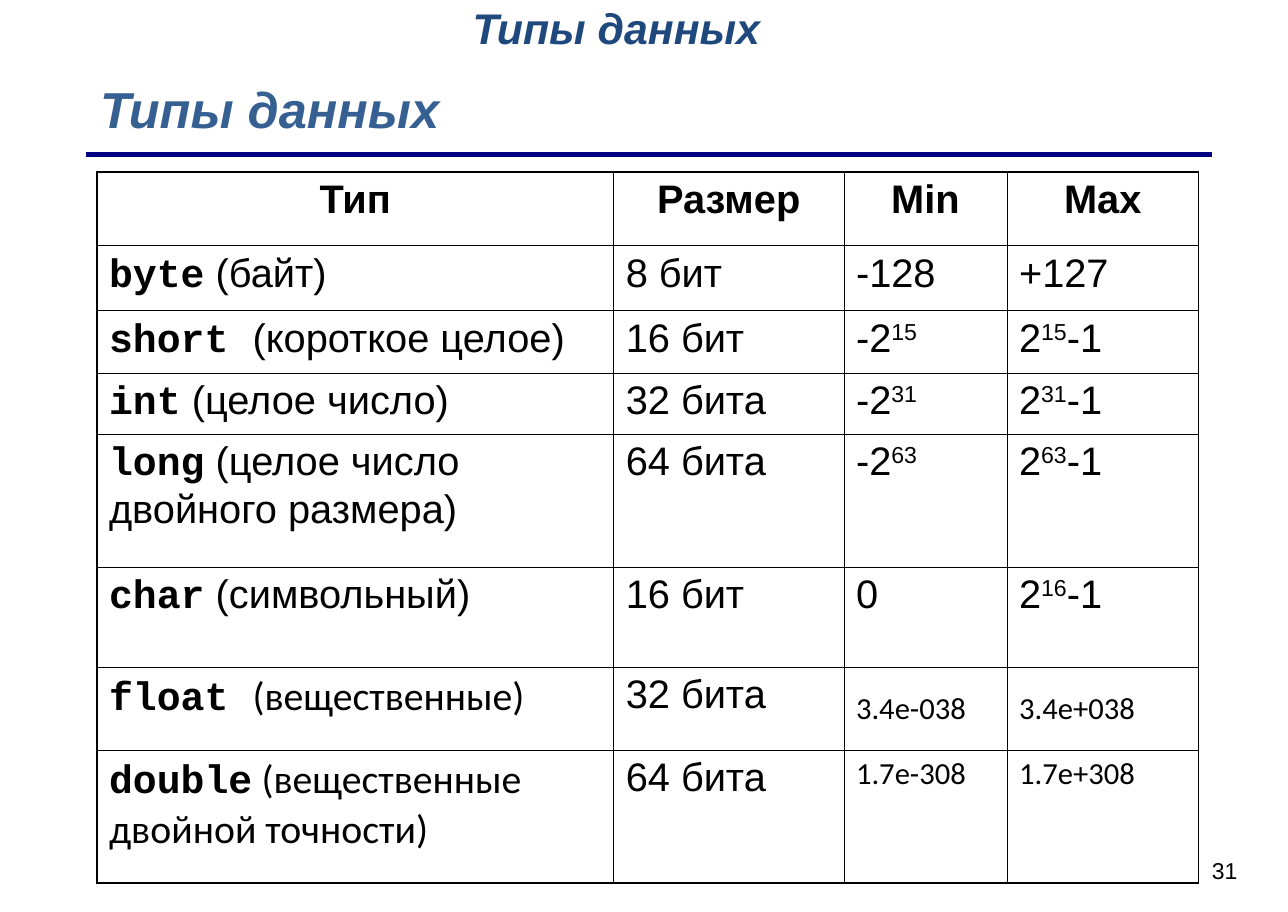
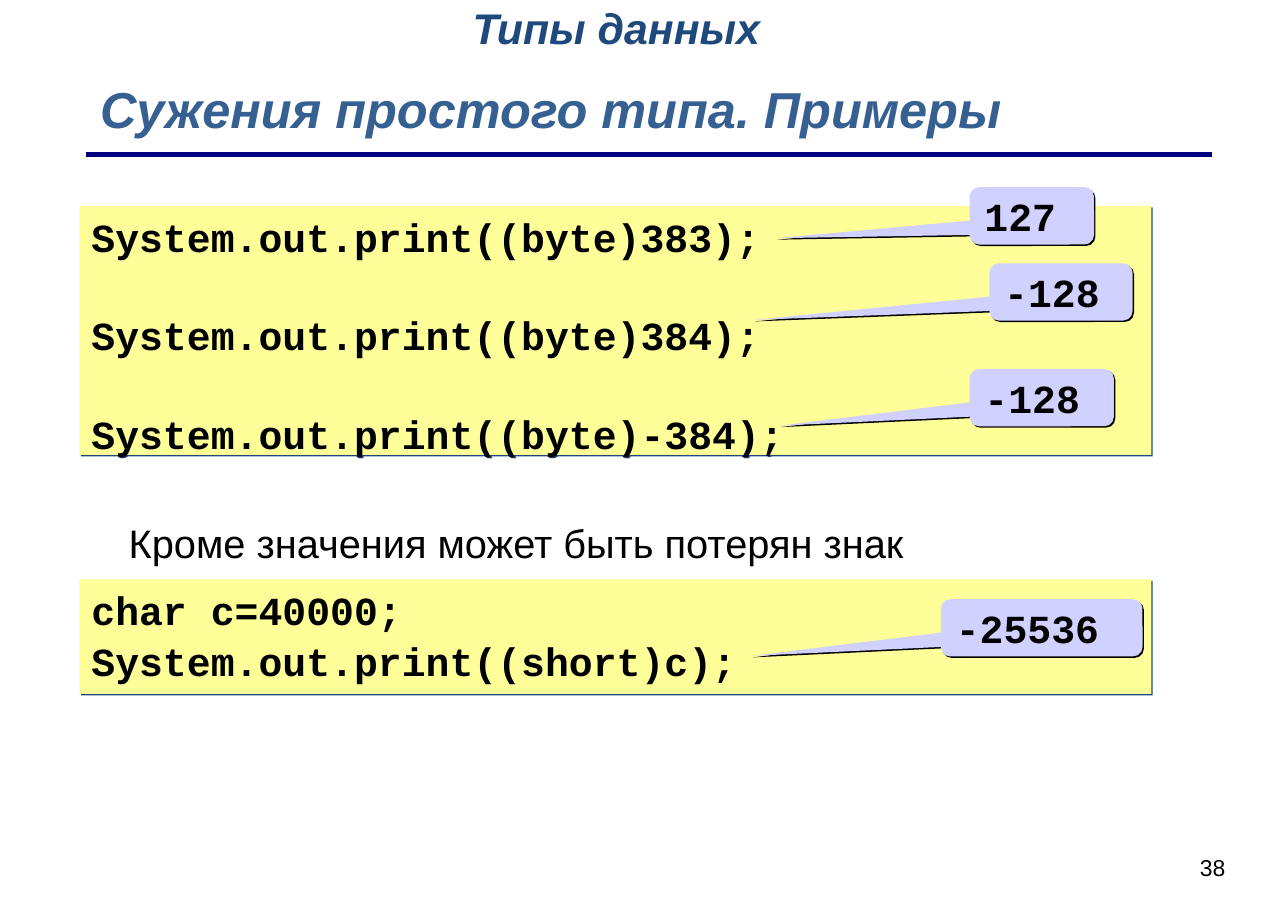
from lxml import etree
from pptx import Presentation
from pptx import util as u
from pptx.dml.color import RGBColor
from pptx.enum import shapes, text
from pptx.oxml.ns import qn

WIDE, HIGH = 11.69, 8.28
BLACK = RGBColor(0, 0, 0)
WHITE = RGBColor(0xFF, 0xFF, 0xFF)
NAVY = RGBColor(0, 0, 0x80)
STEEL = RGBColor(0x37, 0x60, 0x92)
DEEP = RGBColor(0x1F, 0x49, 0x7D)
CREAM = RGBColor(0xFF, 0xFF, 0x99)
LILAC = RGBColor(0xD1, 0xD1, 0xFF)
SANS, BODY, MONO = "Arial", "Calibri", "Courier New"
LEFT, MID, RIGHT = text.PP_ALIGN.LEFT, text.PP_ALIGN.CENTER, text.PP_ALIGN.RIGHT
TOP, CENTRE = text.MSO_ANCHOR.TOP, text.MSO_ANCHOR.MIDDLE
BASE = 26  # body text size

COLS = [4.69, 2.09, 1.48, 1.74]
ROWS = [0.67, 0.59, 0.57, 0.55, 1.21, 0.91, 0.75, 1.21]
HEAD = ["Тип", "Размер", "Min", "Max"]
# keyword, meaning, font of the meaning, size, min, max; ^ encloses a power
TYPES = [
    ("byte", " (байт)", SANS, "8 бит", "-128", "+127"),
    ("short ", "(короткое целое)", SANS, "16 бит", "-2^15^", "2^15^-1"),
    ("int", " (целое число)", SANS, "32 бита", "-2^31^", "2^31^-1"),
    ("long", " (целое число двойного размера)", SANS, "64 бита", "-2^63^", "2^63^-1"),
    ("char", " (символьный)", SANS, "16 бит", "0", "2^16^-1"),
    ("float ", "(вещественные)", BODY, "32 бита", "3.4е-038", "3.4е+038"),
    ("double", " (вещественные двойной точности)", BODY, "64 бита", "1.7е-308", "1.7е+308"),
]


def inch(*vals):
    return [u.Inches(v) for v in vals]


def style(font, size=BASE, face=SANS, color=BLACK, bold=False, slant=False):
    font.size, font.name = u.Pt(size), face
    font.bold, font.italic = bold, slant
    font.color.rgb = color


def label(sl, box, words, align=LEFT, wrap=True, **look):
    frame = sl.shapes.add_textbox(*inch(*box)).text_frame
    frame.word_wrap = wrap
    para = frame.paragraphs[0]
    para.text, para.alignment = words, align
    style(para.font, **look)


def base(deck, title, num, box):
    """Blank slide with running head, title, rule and number; box places the number."""
    sl = deck.slides.add_slide(deck.slide_layouts[6])
    label(sl, (4.19, -0.03, 2.82, 0.57), "Типы данных", wrap=False,
          size=28, color=DEEP, bold=True, slant=True)
    label(sl, (0.81, 0.66, 9.83, 0.65), title,
          size=33, color=STEEL, bold=True, slant=True)
    rule = sl.shapes.add_connector(shapes.MSO_CONNECTOR.STRAIGHT, *inch(0.78, 1.4, 11, 1.4))
    rule.line.color.rgb, rule.line.width = NAVY, u.Pt(3)
    etree.SubElement(rule._element.spPr, qn("a:effectLst"))
    label(sl, box, num, RIGHT, size=15)
    return sl


def border(cell, edges):
    """Draw black cell edges; edges maps a side to its width in points."""
    props = cell._tc.get_or_add_tcPr()
    for pos, side in enumerate("LRTB"):
        ln = etree.Element(qn("a:ln" + side), w=str(u.Pt(edges[side])))
        fill = etree.SubElement(ln, qn("a:solidFill"))
        etree.SubElement(fill, qn("a:srgbClr"), val=str(BLACK))
        props.insert(pos, ln)


def value(para, words):
    """Write a value whose powers stand between ^ marks."""
    for n, part in enumerate(words.split("^")):
        if part:
            run = para.add_run()
            run.text = part
            if n % 2:
                run._r.get_or_add_rPr().set("baseline", "30000")


def grid(sl, left, top):
    """Table of the primitive types."""
    frame = sl.shapes.add_table(len(ROWS), len(COLS),
                                *inch(left, top, sum(COLS), sum(ROWS)))
    table = frame.table
    for col, wide in zip(table.columns, COLS):
        col.width = u.Inches(wide)
    for row, high in zip(table.rows, ROWS):
        row.height = u.Inches(high)
    for r in range(len(ROWS)):
        for c in range(len(COLS)):
            cell = table.cell(r, c)
            cell.fill.solid()
            cell.fill.fore_color.rgb = WHITE
            cell.margin_left = cell.margin_right = u.Inches(0.11)
            border(cell, {"L": 0.45 if c else 1.08, "T": 0.45 if r else 1.08,
                          "R": 1.08 if c == len(COLS) - 1 else 0.45,
                          "B": 1.08 if r == len(ROWS) - 1 else 0.45})
            para = cell.text_frame.paragraphs[0]
            if r == 0:
                para.text, para.alignment = HEAD[c], MID
                style(para.font, bold=True)
                continue
            word, note, face, *vals = TYPES[r - 1]
            if c == 0:
                for part, look in ((word, {"face": MONO, "bold": True}),
                                   (note, {"face": face})):
                    run = para.add_run()
                    run.text = part
                    style(run.font, **look)
                continue
            value(para, vals[c - 1])
            real = face == BODY and c > 1
            style(para.font, 20 if real else BASE, BODY if real else SANS)
            if real and word == "float ":
                cell.vertical_anchor = CENTRE


def block(sl, kind, box, lines, fill, shade, anchor=TOP, gap=0):
    """Filled code shape with a thin hard shadow; gap parts its lines."""
    shape = sl.shapes.add_shape(kind, *inch(*box))
    shape.fill.solid()
    shape.fill.fore_color.rgb = fill
    shape.line.fill.background()
    shape.shadow.inherit = False
    cast = etree.SubElement(shape._element.spPr.find(qn("a:effectLst")),
                            qn("a:outerShdw"), dist=str(u.Pt(1.4)), dir="2700000",
                            algn="ctr", rotWithShape="0")
    etree.SubElement(cast, qn("a:srgbClr"), val=str(shade))
    frame = shape.text_frame
    frame.word_wrap, frame.vertical_anchor = True, anchor
    frame.margin_left = frame.margin_right = u.Inches(0.11)
    frame.margin_top = frame.margin_bottom = u.Inches(0.06)
    for n, line in enumerate(lines):
        para = frame.add_paragraph() if n else frame.paragraphs[0]
        para.text, para.alignment = line, LEFT
        if n:
            para.space_before = u.Pt(gap)
        style(para.font, face=MONO, bold=True)
    return shape


def panel(sl, box, lines, gap, notes):
    """Code panel; notes are (dx, dy, width, text, tip x, tip y) from its corner."""
    kinds = shapes.MSO_SHAPE
    block(sl, kinds.RECTANGLE, box, lines, CREAM, DEEP, gap=gap)
    for dx, dy, wide, words, tipx, tipy in notes:
        tag = block(sl, kinds.ROUNDED_RECTANGULAR_CALLOUT,
                    (box[0] + dx, box[1] + dy, wide, 0.52), [words], LILAC, BLACK, CENTRE)
        tag.adjustments[0], tag.adjustments[1] = tipx, tipy


def main():
    deck = Presentation()
    deck.slide_width, deck.slide_height = inch(WIDE, HIGH)

    # Table of types
    sl = base(deck, "Типы данных", "31", (8.76, 7.73, 2.57, 0.58))
    grid(sl, 0.88, 1.56)

    # Narrowing examples
    sl = base(deck, "Сужения простого типа. Примеры", "38", (8.64, 7.7, 2.58, 0.57))
    calls = [f"System.out.print((byte){n});" for n in (383, 384, -384)]
    panel(sl, (0.72, 1.87, 9.73, 2.26), calls, 33.3, [
        (8.08, -0.17, 1.13, "127", -2.06, 0.39),
        (8.26, 0.52, 1.3, "-128", -2.15, 0.49),
        (8.08, 1.48, 1.31, "-128", -1.82, 0.49)])
    label(sl, (1.07, 4.66, 9.54, 0.54), "Кроме значения может быть потерян знак")
    panel(sl, (0.72, 5.26, 9.73, 1.04), ["char c=40000;", "System.out.print((short)c);"], 2, [
        (7.82, 0.18, 1.83, "-25536", -1.44, 0.49)])
    deck.save("out.pptx")


if __name__ == "__main__":
    main()
